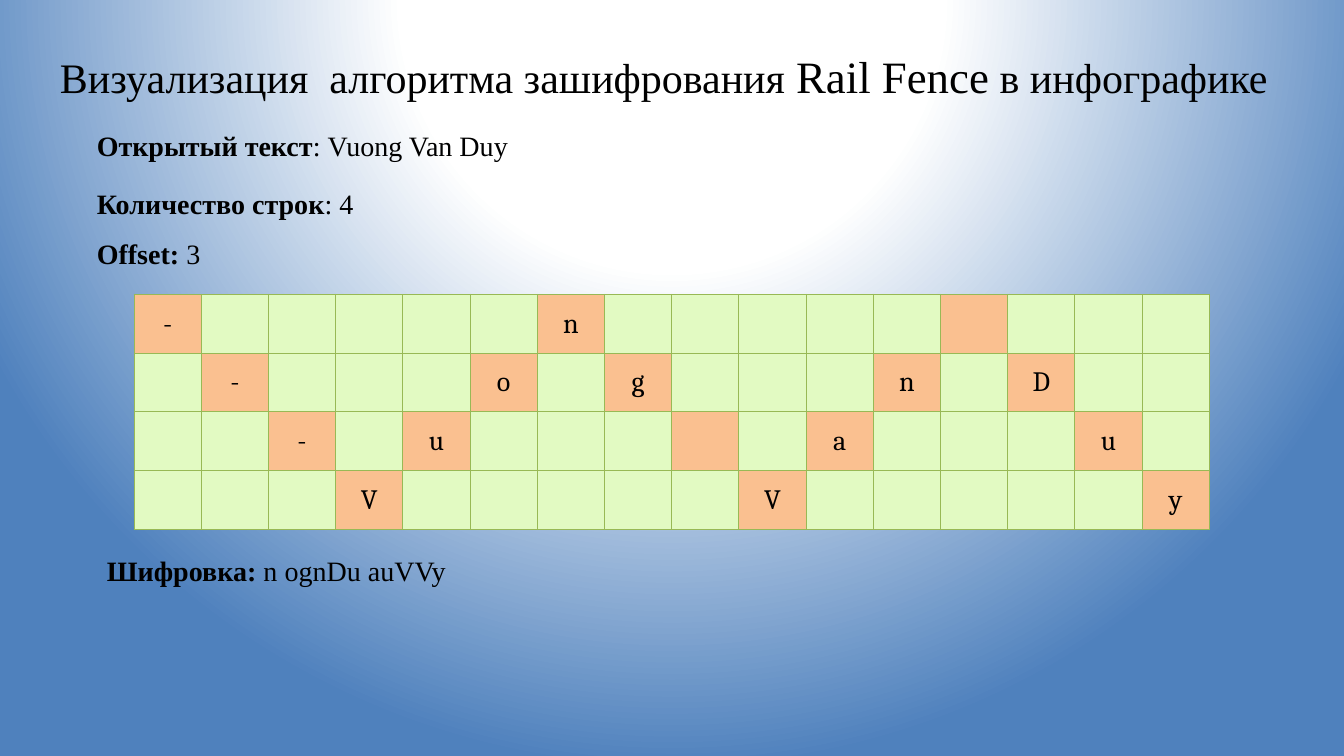
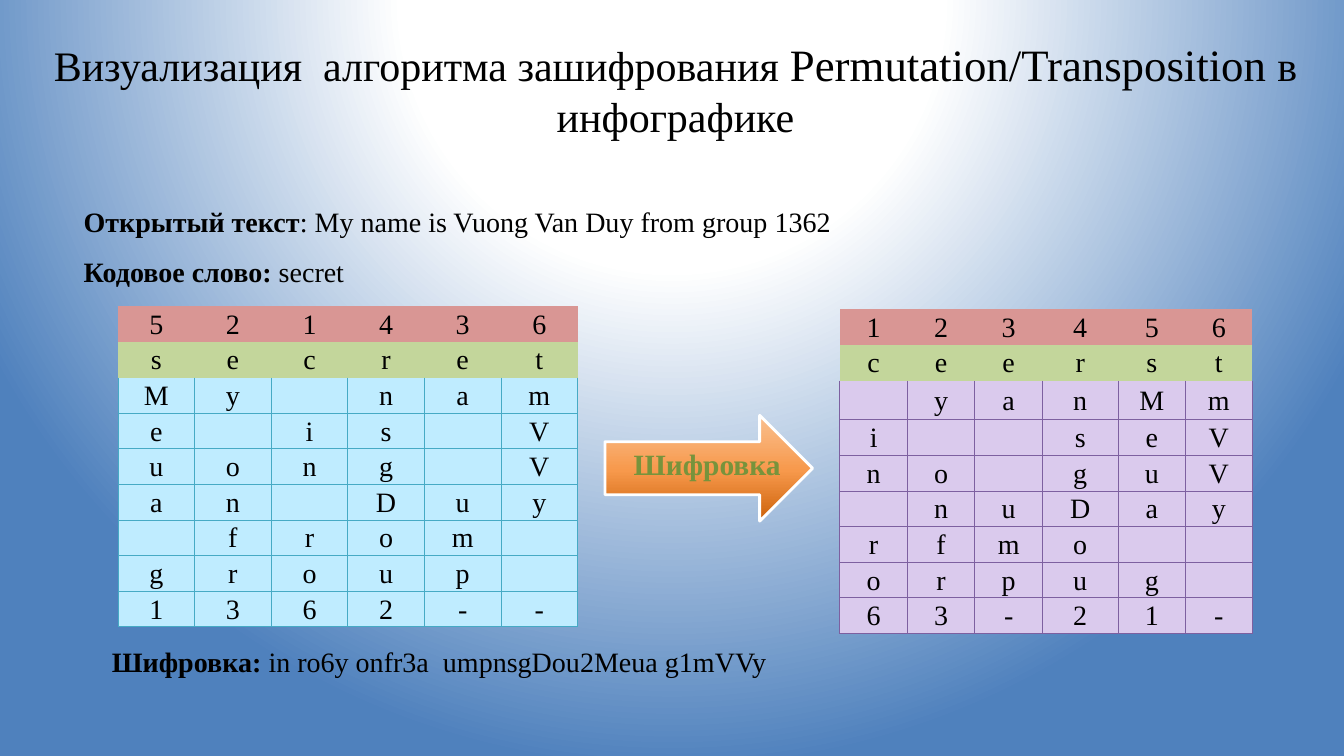
from lxml import etree
from pptx import Presentation
from pptx.dml.color import RGBColor
from pptx.enum.shapes import MSO_SHAPE
from pptx.enum.text import MSO_ANCHOR, MSO_AUTO_SIZE, PP_ALIGN
from pptx.oxml.ns import qn
from pptx.util import Inches, Pt

RIGHT_ARROW = MSO_SHAPE.RIGHT_ARROW
TOP, MIDDLE = MSO_ANCHOR.TOP, MSO_ANCHOR.MIDDLE
NO_AUTOFIT = MSO_AUTO_SIZE.NONE
CENTER = PP_ALIGN.CENTER

WHITE = RGBColor(0xFF, 0xFF, 0xFF)
BLACK = RGBColor(0, 0, 0)
BLUE = RGBColor(0x4F, 0x81, 0xBD)
PEACH = RGBColor(0xFA, 0xC0, 0x90)
ORANGE = RGBColor(0xF7, 0x99, 0x4C)
DARK_ORANGE = RGBColor(0xCC, 0x61, 0x09)
GREEN_TEXT = RGBColor(0x77, 0x93, 0x3C)
GREEN_LINE = RGBColor(0x98, 0xB9, 0x55)
PALE_GREEN = RGBColor(0xE2, 0xFA, 0xC2)
KEY_GREEN = RGBColor(0xC3, 0xD6, 0x9B)
KEY_RED = RGBColor(0xD9, 0x96, 0x94)
CYAN_LINE = RGBColor(0x46, 0xAA, 0xC5)
PALE_CYAN = RGBColor(0xBF, 0xEC, 0xFF)
PURPLE_LINE = RGBColor(0x7D, 0x60, 0xA0)
PALE_PURPLE = RGBColor(0xDA, 0xCA, 0xED)

SERIF = "Times New Roman"
CELL_SERIF = "Cambria"
PLAIN_TABLE_STYLE = "{2D5ABB26-0587-4C30-8999-92F81FD0307C}"


def set_gradient(properties, stops, direction, **attributes):
    solid = properties.find(qn("a:solidFill"))
    gradient = etree.Element(qn("a:gradFill"), rotWithShape="1")
    stop_list = etree.SubElement(gradient, qn("a:gsLst"))
    for percent, color in stops:
        stop = etree.SubElement(stop_list, qn("a:gs"), pos=str(percent * 1000))
        etree.SubElement(stop, qn("a:srgbClr"), val=str(color))
    shading = etree.SubElement(gradient, qn(direction), **attributes)
    properties.replace(solid, gradient)
    return shading


def set_background(master):
    master.background.fill.solid()
    properties = master.element.find(".//" + qn("p:bgPr"))
    stops = [(0, WHITE), (35, WHITE), (100, BLUE)]
    shading = set_gradient(properties, stops, "a:path", path="circle")
    etree.SubElement(shading, qn("a:fillToRect"),
                     l="50000", t="-80000", r="50000", b="180000")


def format_font(font, size=20, bold=False, color=BLACK, name=SERIF):
    font.name = name
    font.size = Pt(size)
    font.bold = bold
    font.color.rgb = color


def clear_margins(frame):
    frame.margin_left = frame.margin_right = 0
    frame.margin_top = frame.margin_bottom = 0
    frame.word_wrap = True


def add_title(slide, box, cipher):
    title = slide.shapes.title
    title.left, title.top, title.width, title.height = map(Inches, box)
    frame = title.text_frame
    clear_margins(frame)
    frame.auto_size = NO_AUTOFIT
    frame.vertical_anchor = TOP
    paragraph = frame.paragraphs[0]
    paragraph.alignment = CENTER
    parts = [("Визуализация  алгоритма зашифрования ", 30),
             (cipher, 32), (" в инфографике", 30)]
    for text, size in parts:
        run = paragraph.add_run()
        run.text = text
        format_font(run.font, size)


def add_facts(slide, box, facts):
    frame = slide.shapes.add_textbox(*map(Inches, box)).text_frame
    clear_margins(frame)
    for index, (label, value) in enumerate(facts):
        paragraph = frame.add_paragraph() if index else frame.paragraphs[0]
        paragraph.space_after = Pt(12)
        for text, bold in ((label, True), (value, False)):
            run = paragraph.add_run()
            run.text = text
            format_font(run.font, bold=bold)


def add_borders(cell, sides, color):
    properties = cell._tc.get_or_add_tcPr()
    for position, side in enumerate(sides):
        line = etree.Element(qn("a:ln" + side), w=str(Pt(0.75)))
        fill = etree.SubElement(line, qn("a:solidFill"))
        etree.SubElement(fill, qn("a:srgbClr"), val=str(color))
        properties.insert(position, line)


def add_letter_grid(slide, left, top, widths, heights, letters, fill_of,
                    line_color, key_rows=0, font_name=SERIF):
    frame = slide.shapes.add_table(
        len(heights), len(widths), Inches(left), Inches(top),
        Inches(sum(widths)), Inches(sum(heights)))
    table = frame.table
    table.first_row = table.horz_banding = False
    frame.element.find(".//" + qn("a:tableStyleId")).text = PLAIN_TABLE_STYLE
    for column, width in zip(table.columns, widths):
        column.width = Inches(width)
    for row, height in zip(table.rows, heights):
        row.height = Inches(height)
    for r, line in enumerate(letters):
        for c, letter in enumerate(line):
            cell = table.cell(r, c)
            cell.margin_left = cell.margin_right = Inches(0.01)
            cell.margin_top, cell.margin_bottom = Inches(0.01), 0
            cell.vertical_anchor = MIDDLE
            cell.fill.solid()
            cell.fill.fore_color.rgb = fill_of(r, c)
            cell.text = letter.strip()
            paragraph = cell.text_frame.paragraphs[0]
            paragraph.alignment = CENTER
            for run in paragraph.runs:
                format_font(run.font, name=font_name)
            if r >= key_rows:
                sides = "LRB" if key_rows and r == key_rows else "LRTB"
                add_borders(cell, sides, line_color)


def add_rail_fence(slide, left, top, width, height, text, rails):
    period = 2 * (rails - 1)
    rail_of = [min(i % period, period - i % period) for i in range(len(text))]
    letters = [[letter if rail_of[c] == r else "" for c, letter in enumerate(text)]
               for r in range(rails)]
    add_letter_grid(
        slide, left, top, [width / len(text)] * len(text),
        [height / rails] * rails, letters,
        lambda r, c: PEACH if rail_of[c] == r else PALE_GREEN,
        GREEN_LINE, font_name=CELL_SERIF)


def add_key_grid(slide, left, top, widths, heights, letters, body, line_color):
    fills = [KEY_RED, KEY_GREEN] + [body] * (len(heights) - 2)
    add_letter_grid(slide, left, top, widths, heights, letters,
                    lambda r, c: fills[r], line_color, key_rows=2)


def add_cipher_arrow(slide, box, label):
    arrow = slide.shapes.add_shape(RIGHT_ARROW, *map(Inches, box))
    arrow.shadow.inherit = False
    arrow.fill.solid()
    stops = [(0, DARK_ORANGE), (48, ORANGE), (100, PEACH)]
    set_gradient(arrow.element.spPr, stops, "a:lin", ang="16200000", scaled="0")
    arrow.line.color.rgb = WHITE
    arrow.line.width = Pt(2)
    frame = arrow.text_frame
    clear_margins(frame)
    frame.word_wrap = False
    frame.margin_left = Inches(0.23)
    frame.margin_bottom = Inches(0.08)
    frame.vertical_anchor = MIDDLE
    frame.text = label
    paragraph = frame.paragraphs[0]
    paragraph.alignment = CENTER
    format_font(paragraph.runs[0].font, 21, True, GREEN_TEXT)


def build_rail_fence_slide(slide):
    add_title(slide, (0.25, 0.48, 12.67, 0.71), "Rail Fence")
    add_facts(slide, (0.96, 1.28, 11.41, 0.34),
              [("Открытый текст", ": Vuong Van Duy")])
    add_facts(slide, (0.96, 1.85, 11.58, 0.84),
              [("Количество строк", ": 4"), ("Offset:", " 3")])
    add_rail_fence(slide, 1.33, 2.92, 10.67, 2.33, "---Vuong Van Duy", 4)
    add_facts(slide, (1.06, 5.49, 11.38, 0.34),
              [("Шифровка: ", "n ognDu auVVy")])


def build_transposition_slide(slide):
    message, keyword, order = "My name is Vuong Van Duy from group 1362", "secret", "521436"
    size = len(keyword)
    padded = message + "-" * (-len(message) % size)
    plain = [order, keyword] + [padded[i:i + size]
                                for i in range(0, len(padded), size)]
    ranking = sorted(range(size), key=lambda c: order[c])
    permuted = [[line[c] for c in ranking] for line in plain]

    add_title(slide, (0.45, 0.36, 12.5, 1.04), "Permutation/Transposition")
    add_facts(slide, (0.83, 2.03, 11.58, 0.84),
              [("Открытый текст", ": " + message),
               ("Кодовое слово: ", keyword)])
    add_key_grid(slide, 1.17, 3.04, [0.76] * size, [3.18 / 9] * 9,
                 plain, PALE_CYAN, CYAN_LINE)
    add_key_grid(slide, 8.33, 3.07, [0.67, 0.67, 0.67, 0.75, 0.67, 0.66],
                 [3.18 / 9] * 2 + [0.39] + [3.18 / 9] * 6,
                 permuted, PALE_PURPLE, PURPLE_LINE)
    add_cipher_arrow(slide, (6, 4.12, 2.06, 1.05), "Шифровка")
    add_facts(slide, (1.11, 6.39, 8.92, 0.34),
              [("Шифровка: ", "in ro6y onfr3a  umpnsgDou2Meua g1mVVy")])


def main():
    presentation = Presentation()
    presentation.slide_width = Inches(13.33)
    presentation.slide_height = Inches(7.5)
    set_background(presentation.slide_master)
    title_only = presentation.slide_layouts[5]
    for build in (build_rail_fence_slide, build_transposition_slide):
        build(presentation.slides.add_slide(title_only))
    presentation.save("out.pptx")


if __name__ == "__main__":
    main()
